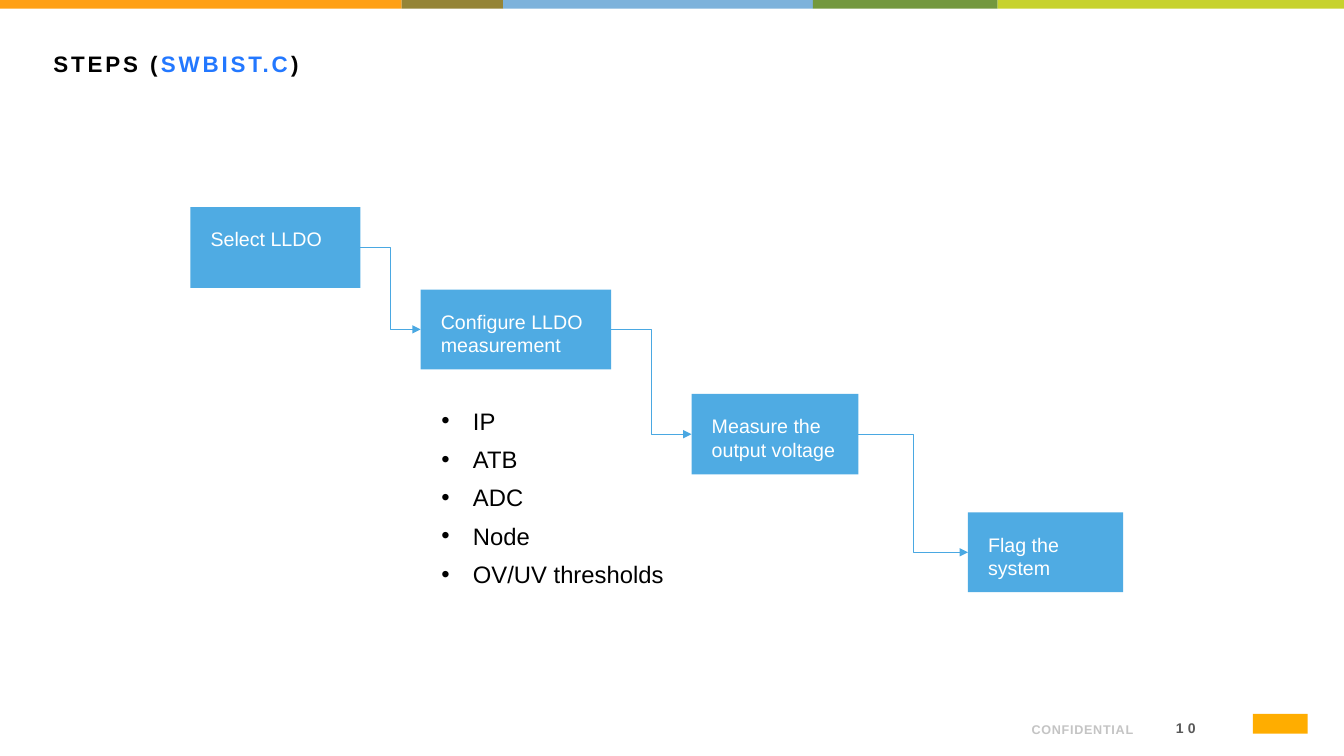
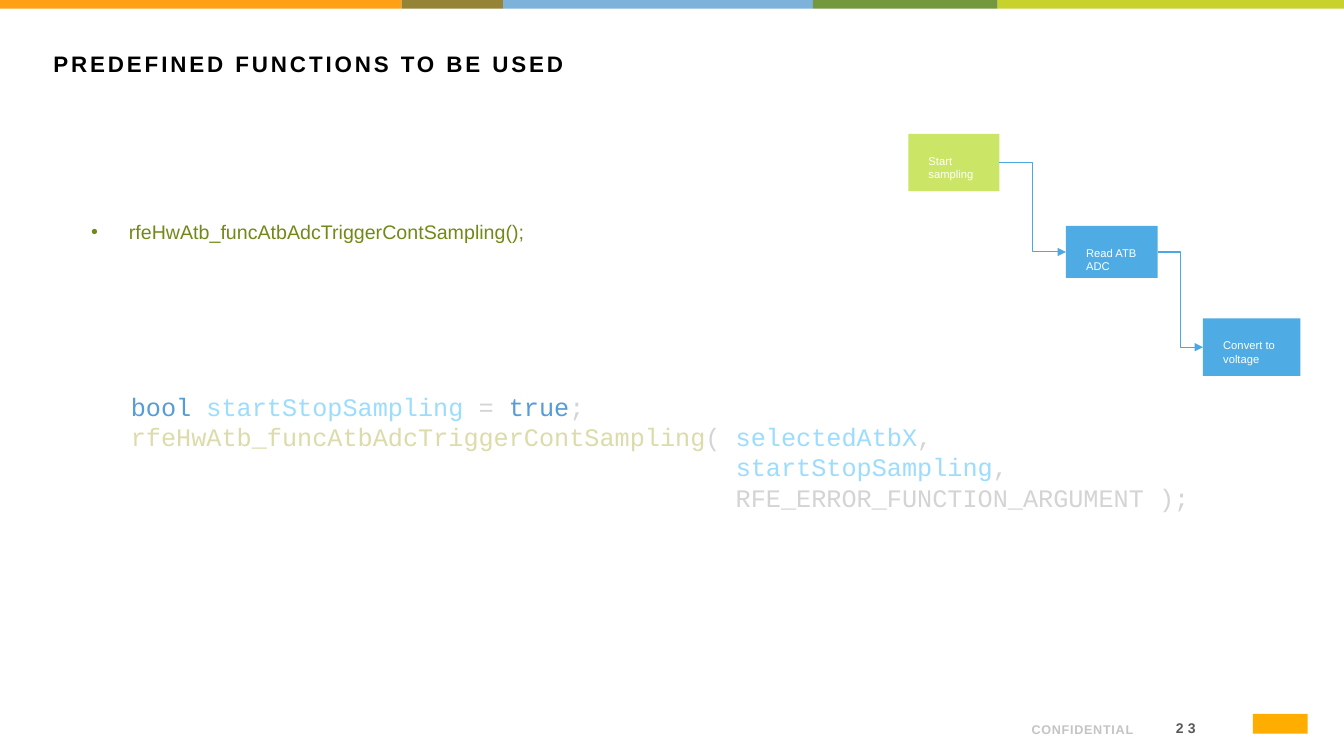
from itertools import pairwise

from pptx import Presentation
from pptx.dml.color import RGBColor
from pptx.enum.shapes import MSO_CONNECTOR, MSO_SHAPE
from pptx.enum.text import MSO_ANCHOR, PP_ALIGN
from pptx.oxml.ns import qn
from pptx.util import Pt
from lxml.etree import SubElement

COLORS = {
    "black": "000000", "white": "FFFFFF", "link": "2378FF",
    "box": "4FABE3", "current": "CBE666", "arrow": "4AA8E2",
    "number": "595959", "label": "C4C4C4", "function": "718A17",
    "orange": "FFA015", "brown": "958436", "sky": "7DB2DB",
    "green": "73983E", "lime": "C7D22D", "mark": "FFAD00",
    "plain": "D4D4D4", "keyword": "569CD6",
    "variable": "9CDCFE", "call": "DCDCAA",
}

# Content: colour and width of each band along the top edge
BANDS = [("orange", 286.9), ("brown", 72.5), ("sky", 221.3),
         ("green", 131.9), ("lime", 247.4)]
INDENT = " " * 8
ARGUMENT_INDENT = " " * 48

# Boxes: text, fill, (left, top, width, height)
SLIDES = [
    {
        "number": "10",
        "title": [("STEPS (", "black"), ("SWBIST.C", "link"), (")", "black")],
        "box_size": 14,
        "boxes": [
            ("Select LLDO", "box", (136, 148, 121.4, 57.6)),
            ("Configure LLDO measurement", "box", (300.5, 206.8, 136, 57)),
            ("Measure the output voltage", "box", (494, 281.4, 119.2, 57.4)),
            ("Flag the system", "box", (691.4, 366, 110.8, 57)),
        ],
        "bullets": {
            "items": ["IP", "ATB", "ADC", "Node", "OV/UV thresholds"],
            "area": (308.2, 286.6, 190, 140), "indent": 22.5,
            "size": 17, "color": "black",
        },
        "code": [],
    },
    {
        "number": "23",
        "title": [("PREDEFINED FUNCTIONS TO BE USED", "black")],
        "box_size": 8,
        "boxes": [
            ("Start sampling", "current", (648.8, 95.6, 65, 41)),
            ("Read ATB ADC", "box", (761.4, 161.4, 65.6, 37.2)),
            ("Convert to voltage", "box", (859.3, 227.4, 69.6, 41.2)),
        ],
        "bullets": {
            "items": ["rfeHwAtb_funcAtbAdcTriggerContSampling();"],
            "area": (58, 153.5, 421, 46), "indent": 27,
            "size": 14, "color": "function",
        },
        "code": [
            [(INDENT, "plain"), ("bool ", "keyword"),
             ("startStopSampling", "variable"), (" = ", "plain"),
             ("true", "keyword"), (";", "plain")],
            [(INDENT, "plain"),
             ("rfeHwAtb_funcAtbAdcTriggerContSampling", "call"),
             ("( ", "plain"), ("selectedAtbX", "variable"), (",", "plain")],
            [(ARGUMENT_INDENT, "plain"),
             ("startStopSampling", "variable"), (",", "plain")],
            [(ARGUMENT_INDENT + "RFE_ERROR_FUNCTION_ARGUMENT );", "plain")],
        ],
    },
]

# Text formats; spacing is in hundredths of a point
TITLE = {"name": "Arial", "size": Pt(16), "bold": True}
NUMBER = {"name": "Arial", "size": Pt(10), "bold": True}
LABEL = {"name": "Arial", "size": Pt(9), "bold": True}
CODE = {"name": "Courier New", "size": Pt(18)}


def points(values):
    return [Pt(value) for value in values]


def rgb(name):
    return RGBColor.from_string(COLORS[name])


def add_runs(paragraph, parts, formats, spacing=0):
    for text, color in parts:
        run = paragraph.add_run()
        run.text = text
        for name, value in formats.items():
            setattr(run.font, name, value)
        run.font.color.rgb = rgb(color)
        if spacing:
            run._r.get_or_add_rPr().set("spc", str(spacing))


def add_text(slide, area, lines, formats, spacing=0, **frame_formats):
    frame = slide.shapes.add_textbox(*points(area)).text_frame
    frame.word_wrap = True
    for name, value in frame_formats.items():
        setattr(frame, name, value)
    for index, parts in enumerate(lines):
        paragraph = frame.add_paragraph() if index else frame.paragraphs[0]
        add_runs(paragraph, parts, formats, spacing)
    return frame


def add_rectangle(slide, area, fill):
    shape = slide.shapes.add_shape(MSO_SHAPE.RECTANGLE, *points(area))
    shape.shadow.inherit = False
    shape.fill.solid()
    shape.fill.fore_color.rgb = rgb(fill)
    shape.line.fill.background()
    return shape


def add_box(slide, text, fill, area, size):
    shape = add_rectangle(slide, area, fill)
    frame = shape.text_frame
    frame.word_wrap = True
    frame.vertical_anchor = MSO_ANCHOR.TOP
    for side in ("left", "top", "right", "bottom"):
        setattr(frame, f"margin_{side}", Pt(14.4))
    paragraph = frame.paragraphs[0]
    paragraph.alignment = PP_ALIGN.LEFT
    add_runs(paragraph, [(text, "white")], {"name": "Arial", "size": Pt(size)})
    return shape


def add_arrow(slide, start, end):
    connector = slide.shapes.add_connector(MSO_CONNECTOR.ELBOW, 0, 0, 0, 0)
    connector.begin_connect(start, 3)
    connector.end_connect(end, 1)
    connector.line.color.rgb = rgb("arrow")
    connector.line.width = Pt(0.75)
    SubElement(connector.line._get_or_add_ln(), qn("a:tailEnd"), type="triangle")
    SubElement(connector._element.spPr, qn("a:effectLst"))


def add_bullets(slide, items, area, indent, size, color):
    lines = [[(item, color)] for item in items]
    frame = add_text(slide, area, lines, {"name": "Arial", "size": Pt(size)})
    for index, paragraph in enumerate(frame.paragraphs):
        properties = paragraph._p.get_or_add_pPr()
        properties.set("marL", str(Pt(indent)))
        properties.set("indent", str(-Pt(indent)))
        if index:
            paragraph.space_before = Pt(7)
        SubElement(properties, qn("a:buFont"), typeface="Arial")
        SubElement(properties, qn("a:buChar"), char="•")


def add_frame(slide, title, number):
    """Bands, title and footer shared by all slides."""
    left = 0
    for color, width in BANDS:
        add_rectangle(slide, (left, 0, width, 6.3), color)
        left += width
    add_text(slide, (31, 32.4, 900, 51.8), [title], TITLE, 210)
    number_frame = add_text(
        slide, (812.2, 509, 46.8, 21.6), [[(number, "number")]], NUMBER, 300,
        vertical_anchor=MSO_ANCHOR.MIDDLE, margin_left=Pt(5),
        margin_right=Pt(5), margin_top=Pt(3), margin_bottom=Pt(3))
    label_frame = add_text(
        slide, (612.7, 505.4, 203.8, 24.5), [[("CONFIDENTIAL", "label")]],
        LABEL, 50, vertical_anchor=MSO_ANCHOR.BOTTOM)
    for frame in (number_frame, label_frame):
        frame.paragraphs[0].alignment = PP_ALIGN.RIGHT
    add_rectangle(slide, (895, 510, 39, 14), "mark")


def main():
    presentation = Presentation()
    presentation.slide_width, presentation.slide_height = Pt(960), Pt(540)
    for content in SLIDES:
        slide = presentation.slides.add_slide(presentation.slide_layouts[6])
        add_frame(slide, content["title"], content["number"])
        # Staircase of steps
        boxes = [add_box(slide, *box, content["box_size"])
                 for box in content["boxes"]]
        for start, end in pairwise(boxes):
            add_arrow(slide, start, end)
        # Details
        add_bullets(slide, **content["bullets"])
        if content["code"]:
            add_text(slide, (0, 275.8, 904.3, 94.3), content["code"], CODE)
    presentation.save("out.pptx")


if __name__ == "__main__":
    main()
